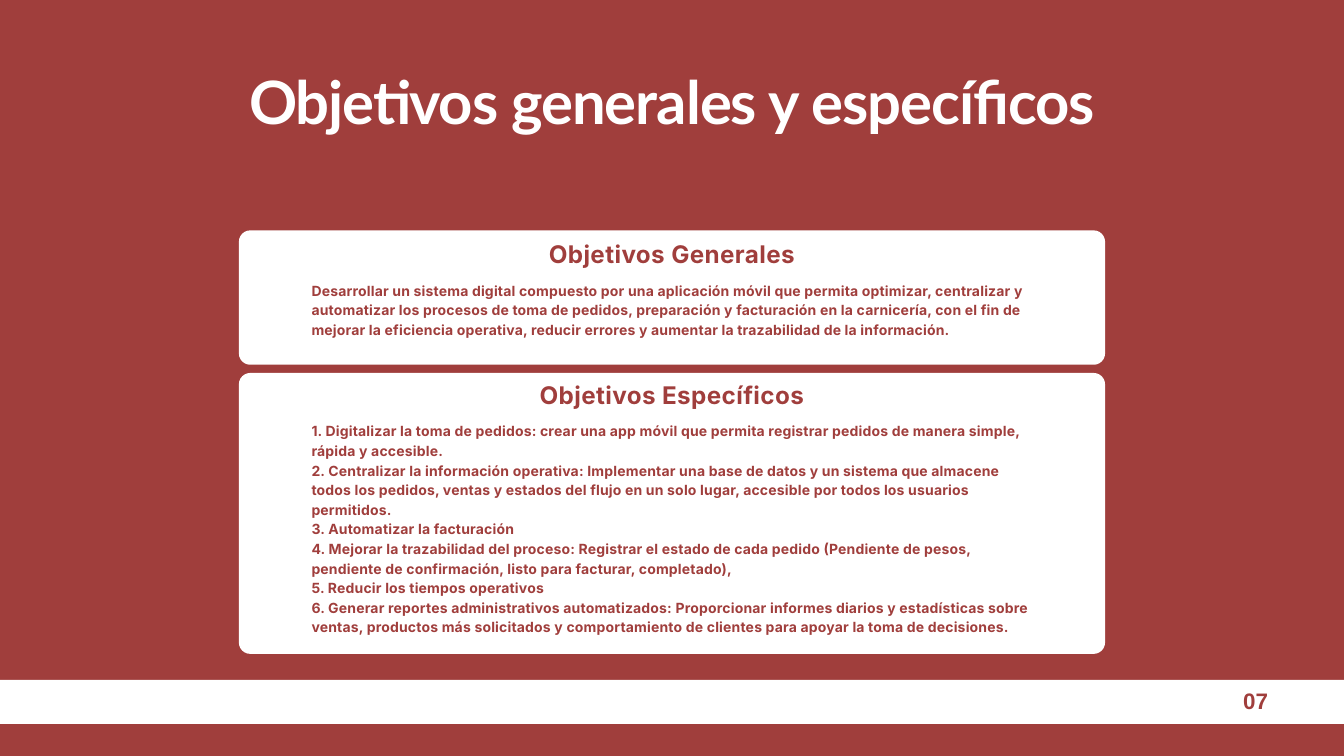
from pptx import Presentation
from pptx.dml.color import RGBColor
from pptx.enum.shapes import MSO_SHAPE
from pptx.enum.text import PP_ALIGN
from pptx.util import Cm, Pt

RED = "A03E3C"
WHITE = "FFFFFF"
SLIDE_WIDTH, SLIDE_HEIGHT = 50.8, 28.58
CARD_WIDTH, CARD_RADIUS = 32.74, 0.43
HEADING_WIDTH, BODY_WIDTH = 23.14, 27.25
BODY_OFFSET = 1.7

TITLE = "Objetivos generales y específicos"
PAGE_NUMBER = "07"
CARDS = [
    {
        "top": 8.71, "height": 5.08, "inset": 0.15,
        "heading": "Objetivos Generales",
        "body": [
            "Desarrollar un sistema digital compuesto por una aplicación móvil que permita optimizar, centralizar y automatizar los procesos de toma de pedidos, preparación y facturación en la carnicería, con el fin de mejorar la eficiencia operativa, reducir errores y aumentar la trazabilidad de la información.",
        ],
    },
    {
        "top": 14.1, "height": 10.62, "inset": 0.08,
        "heading": "Objetivos Específicos",
        "body": [
            "1. Digitalizar la toma de pedidos: crear una app móvil que permita registrar pedidos de manera simple, rápida y accesible.",
            "2. Centralizar la información operativa: Implementar una base de datos y un sistema que almacene todos los pedidos, ventas y estados del flujo en un solo lugar, accesible por todos los usuarios permitidos.",
            "3. Automatizar la facturación",
            "4. Mejorar la trazabilidad del proceso: Registrar el estado de cada pedido (Pendiente de pesos, pendiente de confirmación, listo para facturar, completado),",
            "5. Reducir los tiempos operativos",
            "6. Generar reportes administrativos automatizados: Proporcionar informes diarios y estadísticas sobre ventas, productos más solicitados y comportamiento de clientes para apoyar la toma de decisiones.",
        ],
    },
]


def color(value):
    return RGBColor.from_string(value)


def centered(width):
    return (SLIDE_WIDTH - width) / 2


def add_panel(slide, kind, left, top, width, height):
    shape = slide.shapes.add_shape(kind, Cm(left), Cm(top), Cm(width), Cm(height))
    shape.shadow.inherit = False
    shape.fill.solid()
    shape.fill.fore_color.rgb = color(WHITE)
    shape.line.fill.background()
    return shape


def add_text(slide, paragraphs, left, top, width, height, *, size, leading,
             font="Inter", fill=RED, align=PP_ALIGN.LEFT, spacing=0):
    box = slide.shapes.add_textbox(Cm(left), Cm(top), Cm(width), Cm(height))
    frame = box.text_frame
    frame.word_wrap = True
    frame.margin_left = frame.margin_right = frame.margin_top = frame.margin_bottom = 0
    for index, text in enumerate(paragraphs):
        paragraph = frame.add_paragraph() if index else frame.paragraphs[0]
        paragraph.alignment = align
        paragraph.line_spacing = Pt(leading)
        run = paragraph.add_run()
        run.text = text
        run.font.name = font
        run.font.size = Pt(size)
        run.font.bold = True
        run.font.color.rgb = color(fill)
        if spacing:
            run._r.get_or_add_rPr().set("spc", str(round(spacing * 100)))


def add_card(slide, card):
    top, height = card["top"], card["height"]
    shape = add_panel(slide, MSO_SHAPE.ROUNDED_RECTANGLE,
                      centered(CARD_WIDTH), top, CARD_WIDTH, height)
    shape.adjustments[0] = CARD_RADIUS / height
    heading_top = top + card["inset"]
    body_top = heading_top + BODY_OFFSET
    add_text(slide, [card["heading"]], centered(HEADING_WIDTH), heading_top,
             HEADING_WIDTH, 1.27, size=26, leading=36.4,
             align=PP_ALIGN.CENTER, spacing=0.4)
    add_text(slide, card["body"], centered(BODY_WIDTH), body_top,
             BODY_WIDTH, top + height - body_top, size=15, leading=21, spacing=0.2)


def main():
    presentation = Presentation()
    presentation.slide_width = Cm(SLIDE_WIDTH)
    presentation.slide_height = Cm(SLIDE_HEIGHT)
    slide = presentation.slides.add_slide(presentation.slide_layouts[6])
    slide.background.fill.solid()
    slide.background.fill.fore_color.rgb = color(RED)

    add_panel(slide, MSO_SHAPE.RECTANGLE, 0, 25.7, SLIDE_WIDTH, 1.67)
    add_text(slide, [PAGE_NUMBER], 35.71, 25.78, 12.22, 1.24,
             size=24, leading=34.6, font="Arial", align=PP_ALIGN.RIGHT)
    add_text(slide, [TITLE], centered(35.74), 2.9, 35.74, 4.65, size=64, leading=64,
             font="Lato", fill=WHITE, align=PP_ALIGN.CENTER, spacing=-1)
    for card in CARDS:
        add_card(slide, card)
    presentation.save("out.pptx")


if __name__ == "__main__":
    main()
